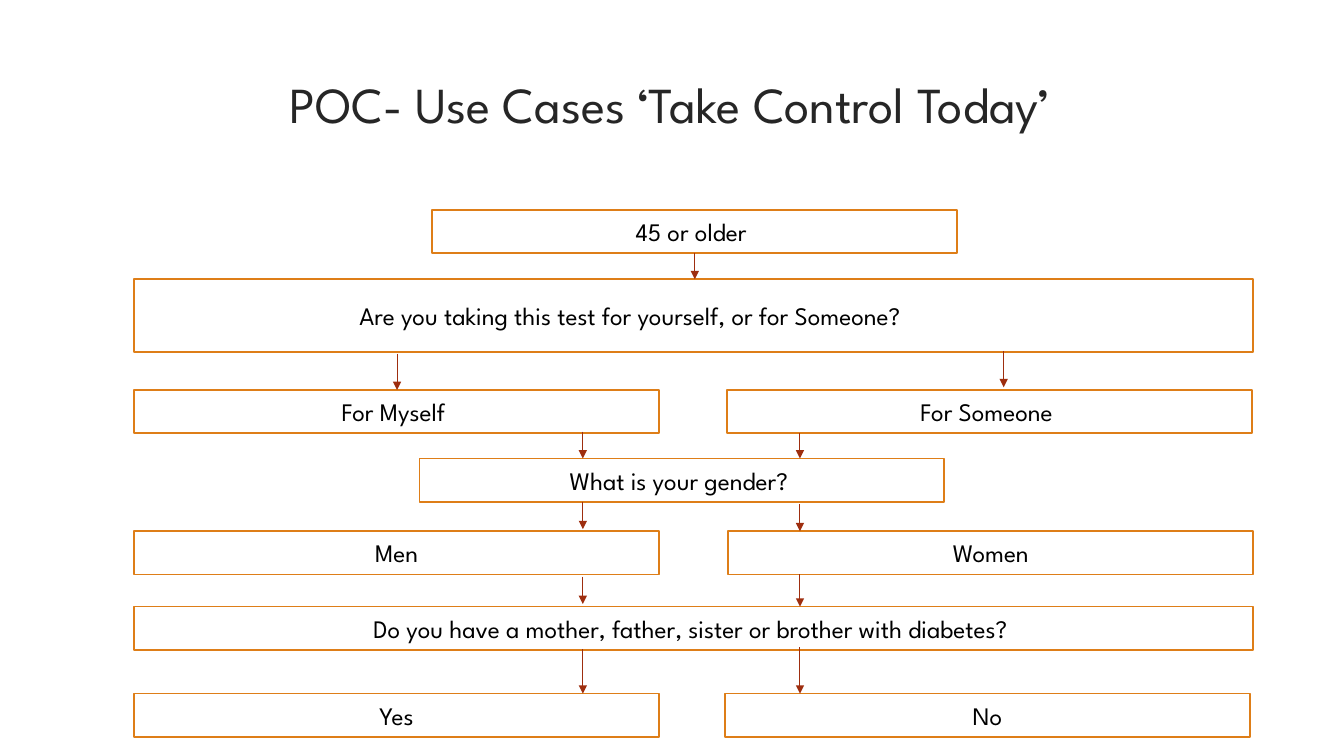
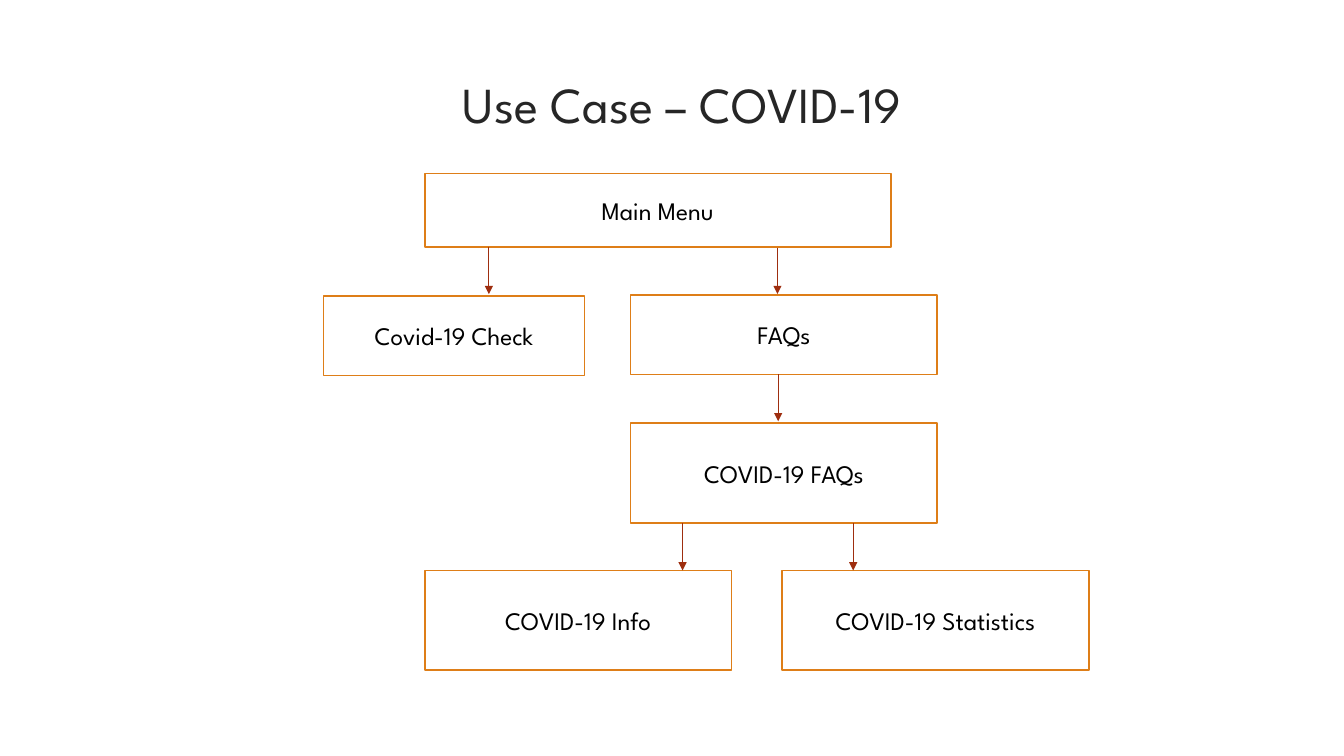
from dataclasses import dataclass
from lxml.etree import SubElement
from pptx import Presentation
from pptx.dml.color import RGBColor as Rgb
from pptx.enum.shapes import MSO_CONNECTOR as Link, MSO_SHAPE as Form
from pptx.enum.text import MSO_ANCHOR as Anchor, PP_ALIGN as Align
from pptx.oxml.ns import qn
from pptx.util import Inches, Pt


@dataclass(frozen=True)
class Theme:
    """Colours, type and line sizes of the deck."""
    font: str = "League Spartan"
    paper: Rgb = Rgb(0xFF, 0xFF, 0xFF)
    ink: Rgb = Rgb(0, 0, 0)
    head: Rgb = Rgb(0x26, 0x26, 0x26)
    edge: Rgb = Rgb(0xDE, 0x7E, 0x18)
    arrow: Rgb = Rgb(0x9E, 0x2E, 0x0F)
    title: int = 36
    body: int = 18
    rule: float = 1.25
    thin: float = 0.75


THEME = Theme()
WIDE, HIGH = 13.33, 7.5
TITLE = (0.95, 0.68, 11.63, 1.4)
HALF, ROW, SPACE = 46.9, 8.2, 0.06

QUIZ = dict(
    title="POC- Use Cases ‘Take Control Today’",
    pad=4 * SPACE,
    area=(1.33, 2.08, 11.1, 5.23),
    nodes=[
        ("45 or older", 26.6, 0, HALF, ROW, SPACE),
        ("Are you taking this test for yourself, or for Someone?", 0, 13.2, 100, 13.8, 21 * SPACE),
        ("For Myself", 0, 34.2, HALF, ROW, SPACE),
        ("For Someone", 53, 34.2, HALF, ROW, SPACE),
        ("What is your gender?", 25.5, 47.2, HALF, ROW, SPACE),
        ("Men", 0, 61, HALF, ROW, 0),
        ("Women", 53.1, 61, HALF, ROW, 0),
        ("Do you have a mother, father, sister or brother with diabetes?", 0, 75.3, 100, ROW, SPACE),
        ("Yes", 0, 91.8, HALF, ROW, 0),
        ("No", 52.8, 91.8, HALF, ROW, 0),
    ],
    links=[
        (50.1, 8.2, 13.2), (23.5, 27.3, 34.2), (77.7, 26.8, 33.7),
        (40.1, 42.1, 47.2), (59.5, 42.4, 47.2),
        (40.1, 55.4, 60.6), (59.5, 55.8, 61),
        (40.1, 69.6, 74.8), (59.5, 69.2, 75.3),
        (40.1, 83.4, 91.8), (59.5, 83, 91.8),
    ],
)

COVID = dict(
    title="Use Case – COVID-19",
    pad=0,
    area=(3.21, 1.72, 7.59, 4.93),
    nodes=[
        ("Main Menu", 13.2, 0, 60.9, 14.8, 0),
        ("Covid-19 Check", 0, 24.7, 34.1, 16, 0),
        ("FAQs", 40.1, 24.5, 40.1, 16, 0),
        ("COVID-19 FAQs", 40.1, 50.3, 40.1, 20.1, 0),
        ("COVID-19 Info", 13.2, 79.9, 40.1, 20.1, 0),
        ("COVID-19 Statistics", 59.9, 79.9, 40.1, 20.1, 0),
    ],
    links=[
        (21.6, 14.8, 24.3), (59.3, 15, 24.3), (59.4, 40.4, 49.9),
        (46.9, 70.4, 79.9), (69.2, 70.4, 79.9),
    ],
)


def write(shape, text, size, color, anchor, pad):
    """Set one centred line, shifted left by extra room on the right."""
    frame = shape.text_frame
    frame.word_wrap = True
    frame.vertical_anchor = anchor
    frame.margin_right = Inches(0.1 + pad)
    line = frame.paragraphs[0]
    line.alignment = Align.CENTER
    run = line.add_run()
    run.text = text
    run.font.name = THEME.font
    run.font.size = Pt(size)
    run.font.color.rgb = color


def place(area, x, y):
    """Turn percent shares of an area into a point on the slide."""
    left, top, wide, high = area
    return Inches(left + wide * x / 100), Inches(top + high * y / 100)


def head(slide, box, text, pad):
    """Put the title in its box."""
    shape = slide.shapes.add_textbox(*map(Inches, box))
    write(shape, text, THEME.title, THEME.head, Anchor.TOP, pad)


def node(slide, area, text, x, y, wide, high, pad):
    """Draw one outlined step of the flow."""
    left, top = place(area, x, y)
    right, base = place(area, x + wide, y + high)
    shape = slide.shapes.add_shape(Form.RECTANGLE, left, top, right - left, base - top)
    shape.shadow.inherit = False
    shape.fill.solid()
    shape.fill.fore_color.rgb = THEME.paper
    shape.line.color.rgb = THEME.edge
    shape.line.width = Pt(THEME.rule)
    write(shape, text, THEME.body, THEME.ink, Anchor.MIDDLE, pad)


def link(slide, area, x, start, end):
    """Draw one downward arrow."""
    line = slide.shapes.add_connector(Link.STRAIGHT, *place(area, x, start), *place(area, x, end))
    line.line.color.rgb = THEME.arrow
    line.line.width = Pt(THEME.thin)
    SubElement(line.line._get_or_add_ln(), qn("a:tailEnd"), type="triangle")
    SubElement(line._element.spPr, qn("a:effectLst"))


def flow(deck, title, pad, area, nodes, links):
    """Build a slide with a title and a flow chart."""
    slide = deck.slides.add_slide(deck.slide_layouts[6])
    head(slide, TITLE, title, pad)
    for item in nodes:
        node(slide, area, *item)
    for item in links:
        link(slide, area, *item)


def main():
    """Build and save the deck."""
    deck = Presentation()
    deck.slide_width, deck.slide_height = Inches(WIDE), Inches(HIGH)
    for page in (QUIZ, COVID):
        flow(deck, **page)
    deck.save("out.pptx")


if __name__ == "__main__":
    main()
